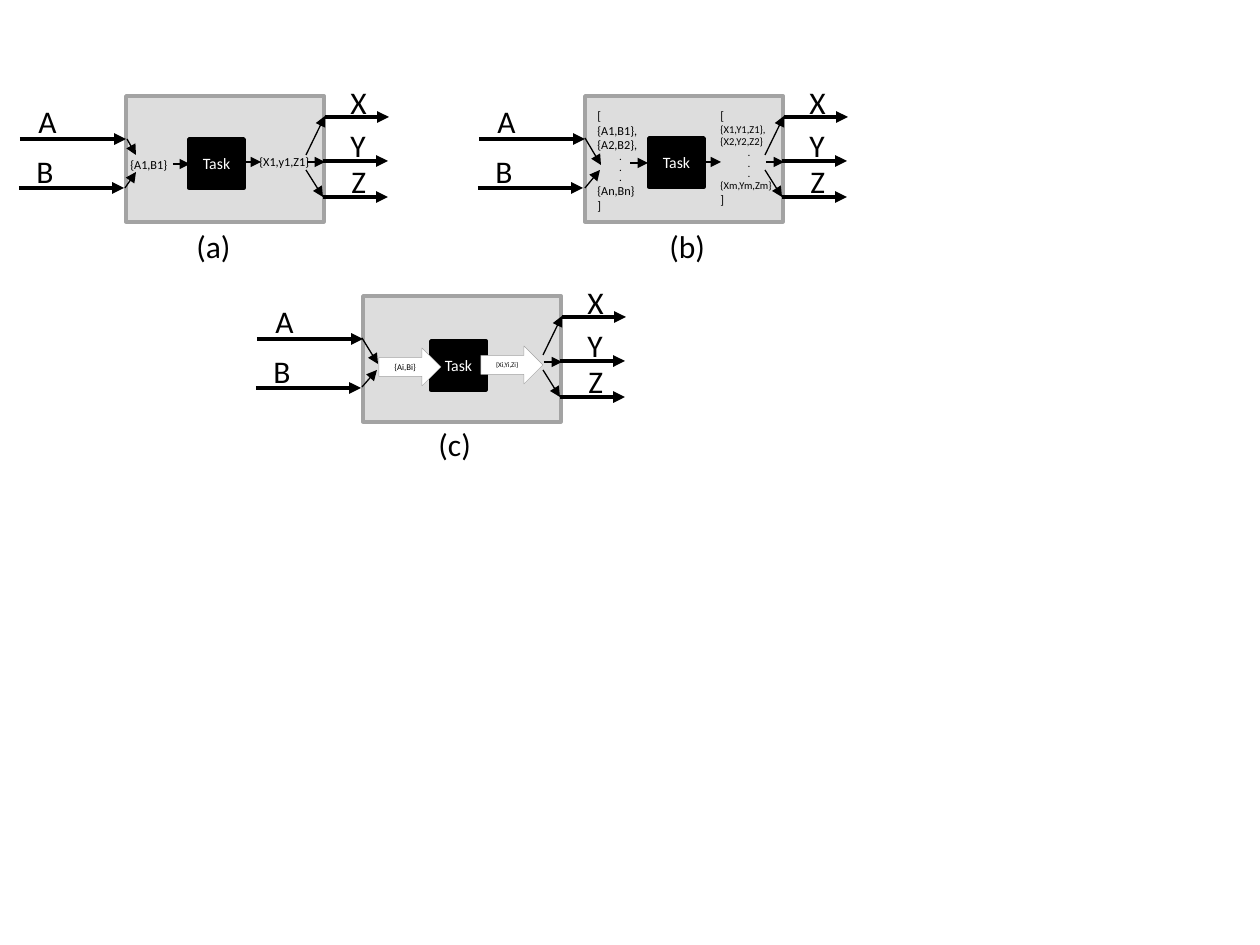
from pptx import Presentation
from pptx import util as u
from pptx.dml.color import RGBColor
from pptx.enum import shapes, text
from pptx.oxml import ns, xmlchemy as xml

SCALE = 914400 / 126
BLACK = RGBColor(0, 0, 0)
WHITE = RGBColor(255, 255, 255)
PALE = RGBColor(0xDD, 0xDD, 0xDD)
GRAY = RGBColor(0xA3, 0xA3, 0xA3)
FONT = "Calibri"
WIDE, HIGH = 198, 126
KIND = shapes.MSO_SHAPE
MID = text.PP_ALIGN.CENTER
DOTS = [(".", 5, True)] * 3

show = Presentation()
show.slide_width, show.slide_height = u.Inches(10), u.Inches(7.5)
slide = show.slides.add_slide(show.slide_layouts[6])


def emu(*nums):
    return [round(n * SCALE) for n in nums]


def write(frame, lines, size=18, color=BLACK, align=None):
    if isinstance(lines, str):
        lines = [(lines, size, False)]
    for i, (words, points, dot) in enumerate(lines):
        para = frame.paragraphs[0] if i == 0 else frame.add_paragraph()
        para.text = words
        para.alignment = MID if dot else align
        for run in para.runs:
            run.font.name = FONT
            run.font.size = u.Pt(points)
            run.font.bold = dot
            run.font.color.rgb = color


def label(x, y, w, h, lines, wrap=False, **form):
    frame = slide.shapes.add_textbox(*emu(x, y, w, h)).text_frame
    frame.word_wrap = wrap
    frame.auto_size = text.MSO_AUTO_SIZE.SHAPE_TO_FIT_TEXT
    write(frame, lines, **form)


def block(kind, x, y, w, h, fill, edge, weight, words="", **form):
    shape = slide.shapes.add_shape(kind, *emu(x, y, w, h))
    shape.shadow.inherit = False
    shape.fill.solid()
    shape.fill.fore_color.rgb = fill
    shape.line.color.rgb = edge
    shape.line.width = u.Pt(weight)
    if words:
        shape.text_frame.vertical_anchor = text.MSO_ANCHOR.MIDDLE
        write(shape.text_frame, words, align=MID, **form)


def arrow(x, y, ends, weight=0.75):
    a, b, c, d = ends
    line = slide.shapes.add_connector(
        shapes.MSO_CONNECTOR.STRAIGHT, *emu(x + a, y + b, x + c, y + d))
    line.line.color.rgb = BLACK
    line.line.width = u.Pt(weight)
    props = line._element.spPr
    head = xml.OxmlElement("a:tailEnd")
    head.set("type", "triangle")
    props.find(ns.qn("a:ln")).append(head)
    props.append(xml.OxmlElement("a:effectLst"))


def panel(x, y, name, place, task, joins):
    block(KIND.RECTANGLE, x, y, WIDE, HIGH, PALE, GRAY, 2)
    for ends in [(-106, 43, 0, 43), (-107, 92, -2, 92), (199, 21, 263, 21),
                 (197, 65, 262, 65), (197, 101, 262, 101)]:
        arrow(x, y, ends, 2.25)
    for port, a, b, w in [("A", -100, 0, 44), ("B", -102, 50, 44),
                          ("X", 212, -19, 42), ("Y", 212, 24, 42),
                          ("Z", 213, 60, 40)]:
        label(x + a, y + b, w, 50, port)
    block(KIND.RECTANGLE, x + task[0], y + task[1], 55, 49, BLACK, BLACK, 2,
          "Task", size=9, color=WHITE)
    fan = [(181, 66, 199, 66), (180, 59, 199, 20), (180, 74, 197, 101)]
    for ends in fan + joins:
        arrow(x, y, ends)
    label(x + place[0], y + place[1], place[2], 50, name)


def single(x, y):
    panel(x, y, "(a)", (58, 125, 60), (63, 43),
          [(1, 43, 10, 59), (-1, 92, 10, 76),
           (47, 68, 64, 68), (117, 66, 135, 66)])
    label(x - 8, y + 55, 71, 28, "{A1,B1}", True, size=7)
    label(x + 121, y + 52, 82, 28, "{X1,y1,Z1}", True, size=7)


def batch(x, y):
    panel(x, y, "(b)", (72, 125, 62), (64, 42),
          [(0, 42, 16, 69), (0, 92, 15, 74),
           (45, 67, 63, 67), (118, 66, 136, 66)])
    label(x, y + 6, 71, 118, [("[\v{A1,B1},", 7, False), ("{A2,B2},", 7, False),
                              *DOTS, ("{An,Bn}\v]", 7, False)], True)
    label(x + 123, y + 6, 82, 127,
          [("[", 7, False), ("{X1,Y1,Z1},", 6, False), ("{X2,Y2,Z2}", 6, False),
           *DOTS, ("{Xm,Ym,Zm}", 6, False), ("]", 7, False)], True)


def stream(x, y):
    panel(x, y, "(c)", (63, 123, 58), (68, 45),
          [(-1, 42, 15, 68), (-1, 91, 14, 74)])
    for a, b, words, size in [(16, 52, "{Ai,Bi}", 5), (118, 50, "{Xi,Yi,Zi}", 4)]:
        block(KIND.RIGHT_ARROW, x + a, y + b, 62, 38, WHITE, GRAY, 0.25,
              words, size=size)


single(126, 96)
batch(585, 96)
stream(363, 296)
show.save("out.pptx")
